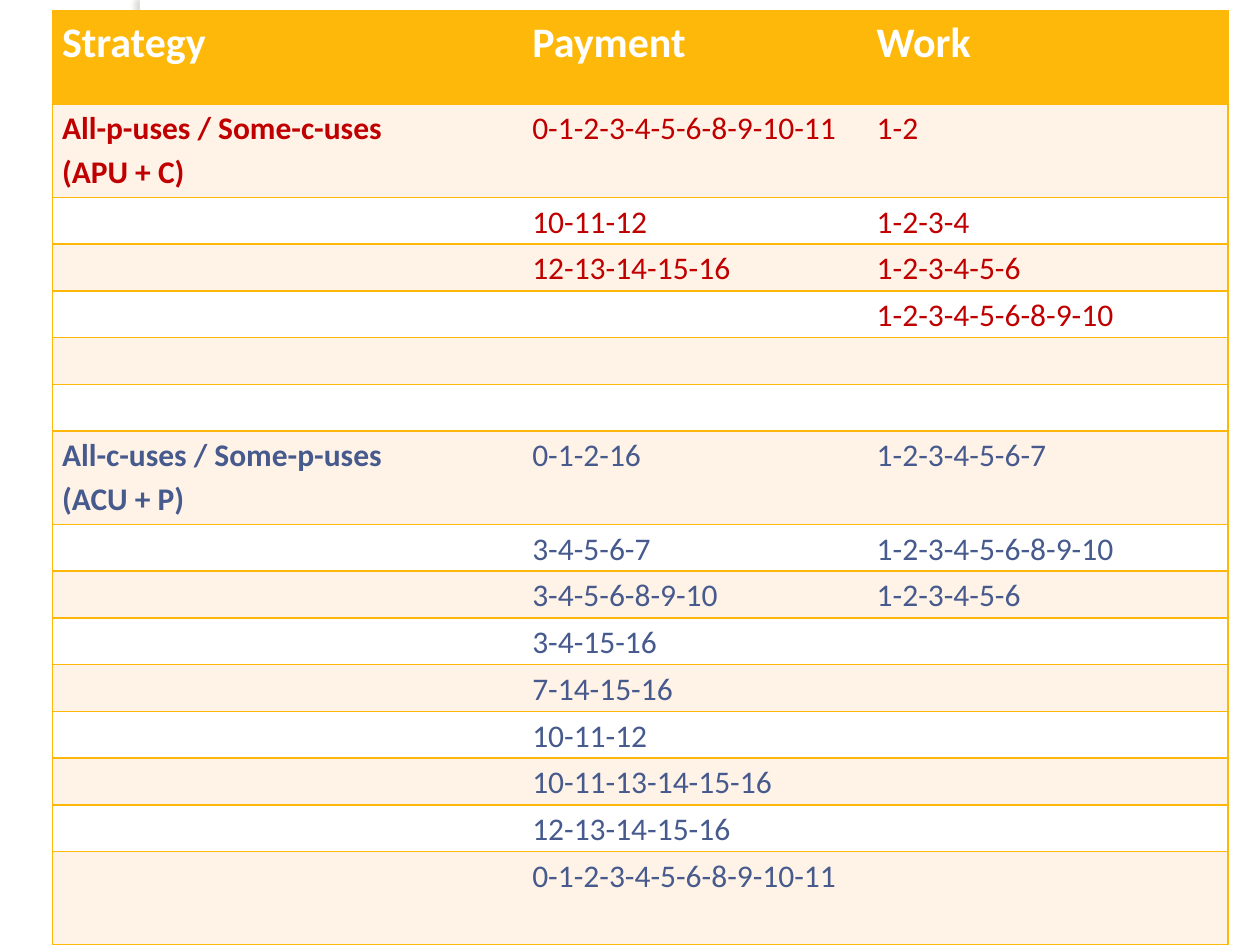
import dataclasses

import lxml.etree
import pptx
import pptx.dml.color
import pptx.enum.shapes
import pptx.oxml
import pptx.oxml.ns
import pptx.util

Cm = pptx.util.Cm
Pt = pptx.util.Pt
qn = pptx.oxml.ns.qn
NS = 'xmlns:a="http://schemas.openxmlformats.org/drawingml/2006/main"'


@dataclasses.dataclass(frozen=True)
class Theme:
    font: str = "Calibri"
    head: int = 24
    body: int = 18
    white: str = "FFFFFF"
    gold: str = "FEB80A"
    cream: str = "FFF3E7"
    red: str = "C00000"
    blue: str = "475A8D"
    shade: str = "736F63"


THEME = Theme()

HEADS = ("Strategy", "Payment", "Work")
# Each strategy: name, colour, payment paths, work paths, row heights in units
GROUPS = (
    ("All-p-uses / Some-c-uses\n(APU + C)", THEME.red,
     ("0-1-2-3-4-5-6-8-9-10-11", "10-11-12", "12-13-14-15-16"),
     ("1-2", "1-2-3-4", "1-2-3-4-5-6", "1-2-3-4-5-6-8-9-10"),
     (2, 1, 1, 1, 1, 1)),
    ("All-c-uses / Some-p-uses\n(ACU + P)", THEME.blue,
     ("0-1-2-16", "3-4-5-6-7", "3-4-5-6-8-9-10", "3-4-15-16", "7-14-15-16",
      "10-11-12", "10-11-13-14-15-16", "12-13-14-15-16",
      "0-1-2-3-4-5-6-8-9-10-11"),
     ("1-2-3-4-5-6-7", "1-2-3-4-5-6-8-9-10", "1-2-3-4-5-6"),
     (2, 1, 1, 1, 1, 1, 1, 1, 2)),
)


def rgb(code):
    return pptx.dml.color.RGBColor.from_string(code)


def write(frame, text, size=THEME.body, color=THEME.white, bold=False):
    """Fill a text frame, one paragraph for each line."""
    for i, line in enumerate(text.split("\n")):
        para = frame.paragraphs[0] if i == 0 else frame.add_paragraph()
        para.line_spacing = 1.15
        run = para.add_run()
        run.text = line
        font = run.font
        font.name, font.size, font.bold = THEME.font, Pt(size), bold
        font.color.rgb = rgb(color)


def border(cell, sides):
    """Draw the given sides in gold and hide the others."""
    props = cell._tc.get_or_add_tcPr()
    for i, side in enumerate("LRTB"):
        fill = (f'<a:solidFill><a:srgbClr val="{THEME.gold}"/></a:solidFill>'
                if side in sides else "<a:noFill/>")
        line = f'<a:ln{side} {NS} w="{Pt(1)}">{fill}</a:ln{side}>'
        props.insert(i, pptx.oxml.parse_xml(line))


def strip(slide, left, top, width, height):
    """White side strip with a soft shadow to its left."""
    bar = slide.shapes.add_shape(
        pptx.enum.shapes.MSO_SHAPE.RECTANGLE, left, top, width, height)
    bar.fill.solid()
    bar.fill.fore_color.rgb = rgb(THEME.white)
    bar.line.fill.background()
    bar.shadow.inherit = False
    glow = lxml.etree.SubElement(
        bar._element.spPr.find(qn("a:effectLst")), qn("a:outerShdw"),
        blurRad=str(Pt(3)), dist=str(Pt(3)), dir="10800000",
        algn="tl", rotWithShape="0")
    tint = lxml.etree.SubElement(glow, qn("a:srgbClr"), val=THEME.shade)
    lxml.etree.SubElement(tint, qn("a:alpha"), val="25000")


def body_rows():
    """Yield the texts, colour and height of each row below the header."""
    for name, color, pay, work, units in GROUPS:
        for i, unit in enumerate(units):
            texts = [col[i] if i < len(col) else ""
                     for col in ((name,), pay, work)]
            yield texts, color, unit


def paths(slide, left, top, width, height):
    """Table of paths for each strategy."""
    rows = [(HEADS, THEME.white, 2), *body_rows()]
    total = sum(unit for _, _, unit in rows)
    table = slide.shapes.add_table(
        len(rows), len(HEADS), left, top, width, height).table
    table.horz_banding = False
    for col, share in zip(table.columns, (0.4, 0.293, 0.307)):
        col.width = int(width * share)
    for r, (texts, color, unit) in enumerate(rows):
        table.rows[r].height = int(height * unit / total)
        back = (THEME.gold if r == 0
                else THEME.cream if r % 2 else THEME.white)
        for c, text in enumerate(texts):
            cell = table.cell(r, c)
            cell.margin_left = cell.margin_right = Cm(0.19)
            cell.margin_top = cell.margin_bottom = 0
            cell.fill.solid()
            cell.fill.fore_color.rgb = rgb(back)
            border(cell, "TB" + ("L", "", "R")[c])
            if text:
                write(cell.text_frame, text, color=color,
                      size=THEME.body if r else THEME.head,
                      bold=r == 0 or c == 0)


def main():
    deck = pptx.Presentation()
    deck.slide_width, deck.slide_height = Cm(25.4), Cm(19.05)
    slide = deck.slides.add_slide(deck.slide_layouts[6])
    strip(slide, Cm(2.82), 0, Cm(0.2), deck.slide_height)
    paths(slide, Cm(1.06), Cm(0.21), Cm(23.7), Cm(18.84))
    deck.save("out.pptx")


if __name__ == "__main__":
    main()
